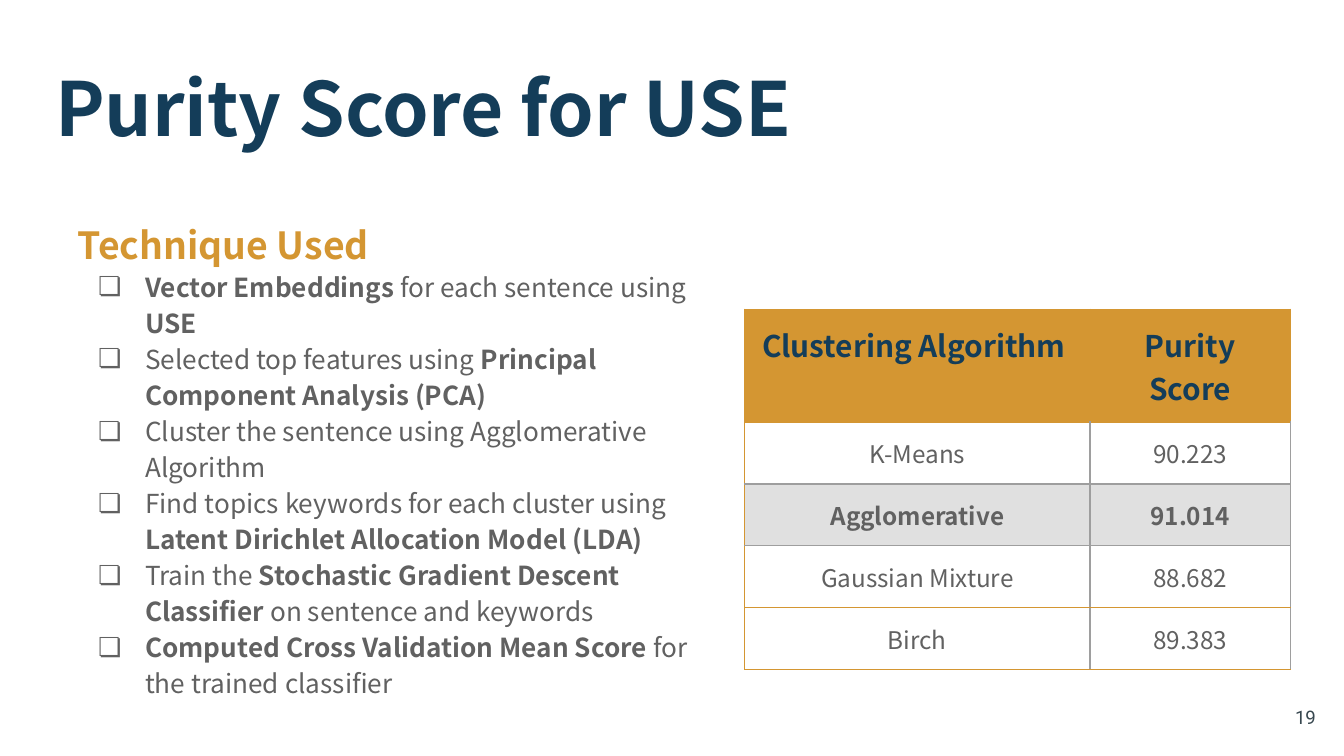
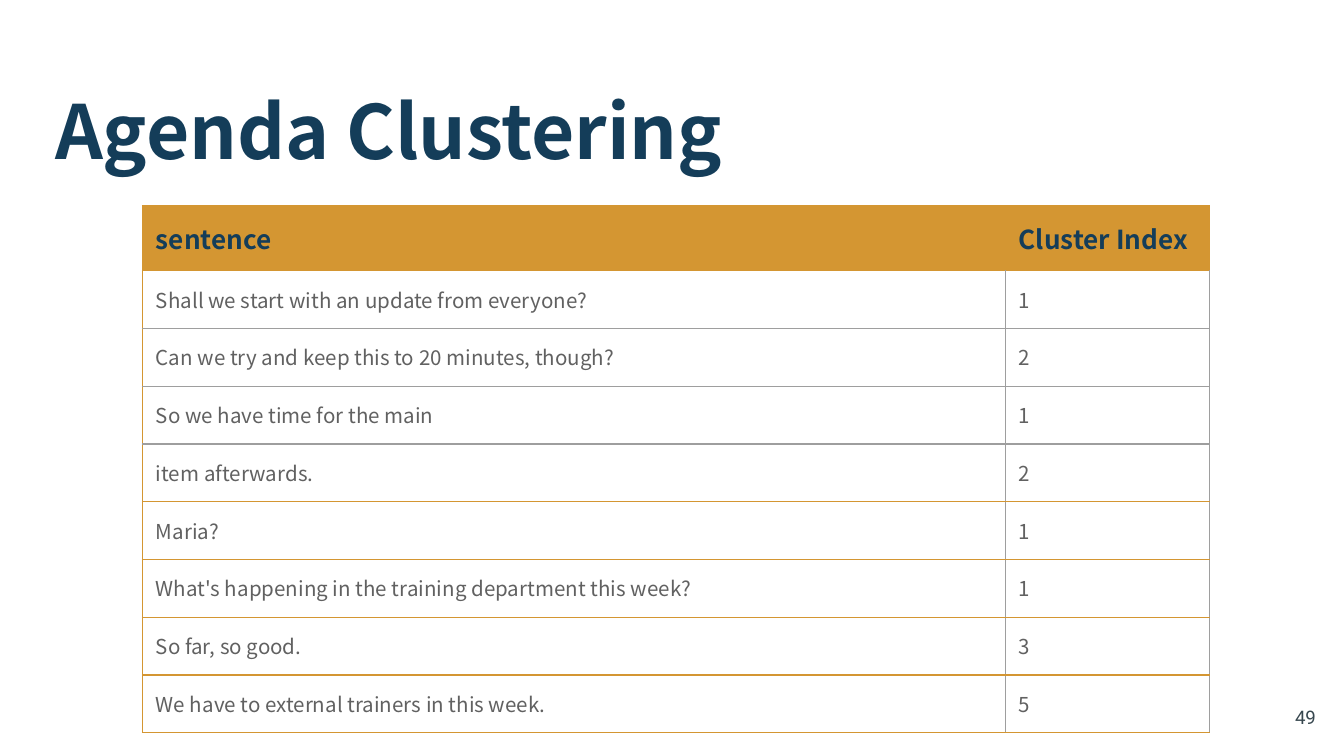
from lxml import etree
from pptx import Presentation
from pptx.dml.color import RGBColor
from pptx.enum.text import MSO_ANCHOR, MSO_AUTO_SIZE, PP_ALIGN
from pptx.oxml.ns import qn
from pptx.util import Inches, Pt

LEFT, CENTER, RIGHT = PP_ALIGN.LEFT, PP_ALIGN.CENTER, PP_ALIGN.RIGHT
TOP, MIDDLE = MSO_ANCHOR.TOP, MSO_ANCHOR.MIDDLE
NO_FIT = MSO_AUTO_SIZE.NONE
TITLE_AND_BODY, TITLE_ONLY = 1, 5
FONT, NUMBER_FONT = "Noto Sans CJK KR", "Roboto"
COLORS = {
    "navy": "143D59",
    "gold": "D49632",
    "text": "616161",
    "number": "37474F",
    "grid": "9E9E9E",
    "highlight": "E0E0E0",
    "white": "FFFFFF",
}


class SlideBuilder:
    """Hold the shared style and add elements to the current slide."""

    def __init__(self):
        self.deck = Presentation()
        self.deck.slide_width = Inches(10)
        self.deck.slide_height = Inches(10) * 9 // 16
        self.page = None

    def start(self, layout, title, top, number):
        self.page = self.deck.slides.add_slide(self.deck.slide_layouts[layout])
        box = self.page.shapes.title
        para = self.frame(box, (0.31, top, 9.44, 1), TOP).paragraphs[0]
        para.text = title
        self.style(para, 40, "navy", True)
        self.number(number)

    def frame(self, box, place, anchor):
        box.left, box.top, box.width, box.height = map(Inches, place)
        frame = box.text_frame
        frame.word_wrap, frame.auto_size = True, NO_FIT
        frame.vertical_anchor = anchor
        frame.margin_left = frame.margin_right = Inches(0.1)
        frame.margin_top = frame.margin_bottom = Inches(0.1)
        return frame

    def style(self, para, size, color, bold=None, align=LEFT, font=FONT):
        para.alignment = align
        para.font.name, para.font.size, para.font.bold = font, Pt(size), bold
        para.font.color.rgb = RGBColor.from_string(COLORS[color])

    def number(self, value):
        place = (9.29, 5.12, 0.6, 0.43)
        box = self.page.shapes.add_textbox(*map(Inches, place))
        para = self.frame(box, place, MIDDLE).paragraphs[0]
        para.text = str(value)
        self.style(para, 10, "number", align=RIGHT, font=NUMBER_FONT)

    def solid(self, parent, tag, color):
        fill = etree.SubElement(parent, qn(tag))
        etree.SubElement(fill, qn("a:srgbClr"), val=COLORS[color])

    def bullet(self, para, mark):
        props = para._p.get_or_add_pPr()
        props.set("marL", str(Inches(0.5) if mark else 0))
        props.set("indent", str(Inches(-0.35) if mark else 0))
        if mark:
            self.solid(props, "a:buClr", "text")
            etree.SubElement(props, qn("a:buChar"), char=mark)
        else:
            etree.SubElement(props, qn("a:buNone"))

    def checklist(self, place, heading, items):
        frame = self.frame(self.page.placeholders[1], place, MIDDLE)
        para = frame.paragraphs[0]
        para.text = heading
        self.bullet(para, None)
        self.style(para, 20, "gold", True)
        for item in items:
            para = frame.add_paragraph()
            self.bullet(para, "❏")
            self.style(para, 14, "text")
            for text, bold in item:
                span = para.add_run()
                span.text, span.font.bold = text, bold
        for para in frame.paragraphs:
            para.line_spacing = 1.15
            para.space_before = Pt(0)

    def borders(self, cell, colors):
        props = cell._tc.get_or_add_tcPr()
        for side, color in zip("LRTB", colors):
            line = etree.SubElement(props, qn(f"a:ln{side}"), w=str(Pt(0.75)))
            self.solid(line, "a:solidFill", color)

    def table(self, place, widths, heights, rows, sizes, align, gold_from, highlight=None):
        size = (sum(widths), sum(heights))
        grid = self.page.shapes.add_table(
            len(rows), len(widths), *map(Inches, place + size)).table
        for column, width in zip(grid.columns, widths):
            column.width = Inches(width)
        for row, height in zip(grid.rows, heights):
            row.height = Inches(height)

        def edge(index):
            return "gold" if index < 2 or index >= gold_from else "grid"

        for r, values in enumerate(rows):
            header, marked = r == 0, r == highlight
            fill = "gold" if header else "highlight" if marked else "white"
            for c, value in enumerate(values):
                cell = grid.cell(r, c)
                left = "gold" if header or c == 0 else "grid"
                right = "gold" if header else "grid"
                self.borders(cell, (left, right, edge(r), edge(r + 1)))
                cell.fill.solid()
                cell.fill.fore_color.rgb = RGBColor.from_string(COLORS[fill])
                cell.margin_left = cell.margin_right = Inches(0.1)
                cell.margin_top = cell.margin_bottom = Inches(0.1)
                para = cell.text_frame.paragraphs[0]
                para.text = value
                self.style(para, sizes[0] if header else sizes[1],
                           "navy" if header else "text", header or marked, align)


def main():
    slides = SlideBuilder()

    slides.start(TITLE_AND_BODY, "Purity Score for USE", 0.36, 19)
    slides.checklist((0.48, 1.76, 4.78, 3.28), "Technique Used", [
        [("Vector Embeddings", True), (" for each sentence using ", False), ("USE", True)],
        [("Selected top features using ", False),
         ("Principal Component Analysis (PCA)", True)],
        [("Cluster the sentence using Agglomerative Algorithm", False)],
        [("Find topics keywords for each cluster using ", False),
         ("Latent Dirichlet Allocation Model (LDA)", True)],
        [("Train the ", False), ("Stochastic Gradient Descent Classifier", True),
         (" on sentence and keywords", False)],
        [("Computed Cross Validation Mean Score", True),
         (" for the trained classifier", False)],
    ])
    purity_scores = [
        ("Clustering Algorithm ", "Purity Score"),
        ("K-Means", "90.223"),
        ("Agglomerative", "91.014"),
        ("Gaussian Mixture", "88.682"),
        ("Birch", "89.383"),
    ]
    slides.table((5.54, 2.3), (2.57, 1.49), [0.84] + [0.46] * 4, purity_scores,
                 (16, 13), CENTER, gold_from=4, highlight=2)

    slides.start(TITLE_ONLY, "Agenda Clustering", 0.53, 49)
    sentences = [
        ("sentence", "Cluster Index"),
        ("Shall we start with an update from everyone?", "1"),
        ("Can we try and keep this to 20 minutes, though?", "2"),
        ("So we have time for the main", "1"),
        ("item afterwards.", "2"),
        ("Maria?", "1"),
        ("What's happening in the training department this week?", "1"),
        ("So far, so good.", "3"),
        ("We have to external trainers in this week.", "5"),
    ]
    slides.table((1.06, 1.53), (6.42, 1.52), [0.48] + [0.43] * 8, sentences,
                 (14, 11), LEFT, gold_from=5)

    slides.deck.save("out.pptx")


if __name__ == "__main__":
    main()
